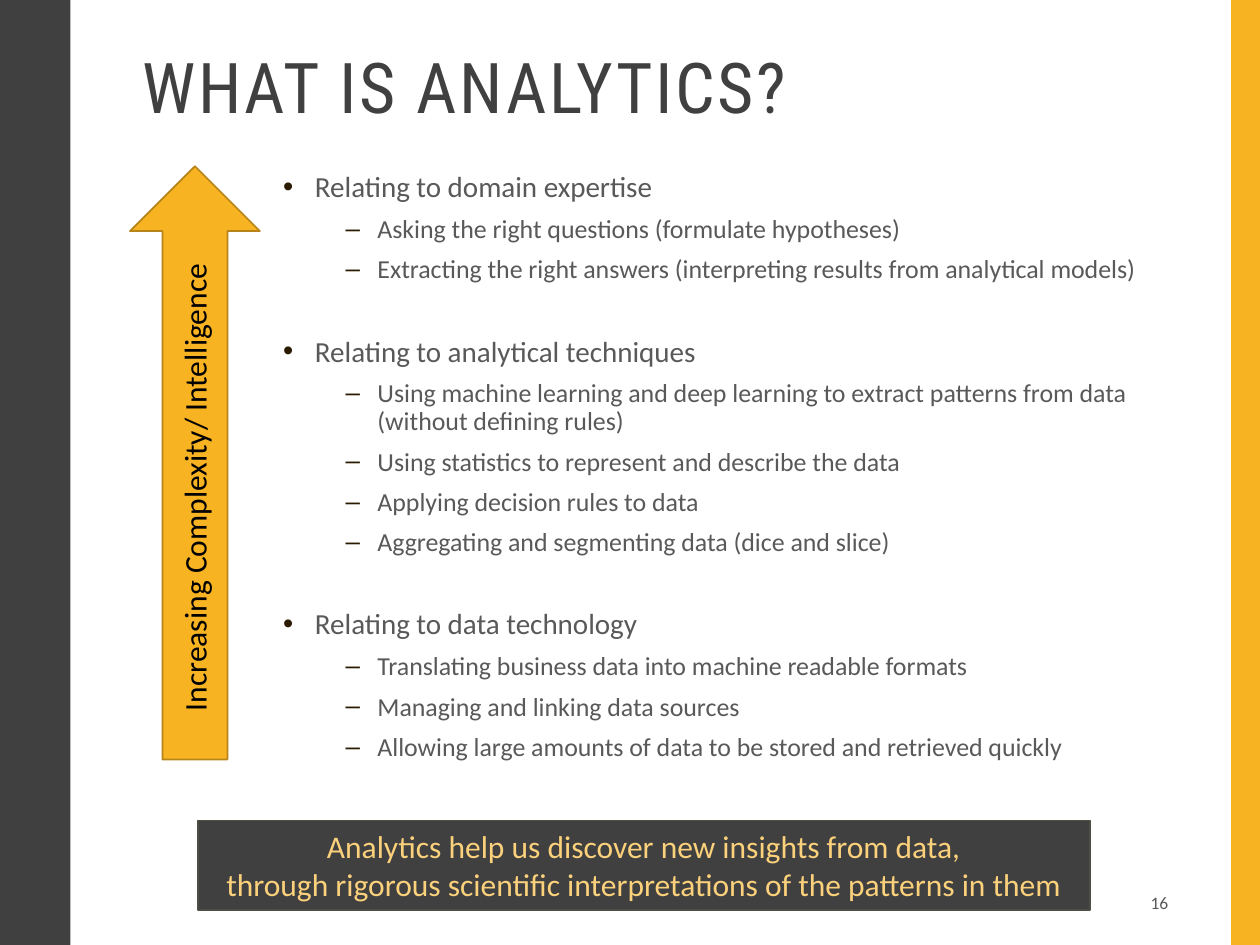
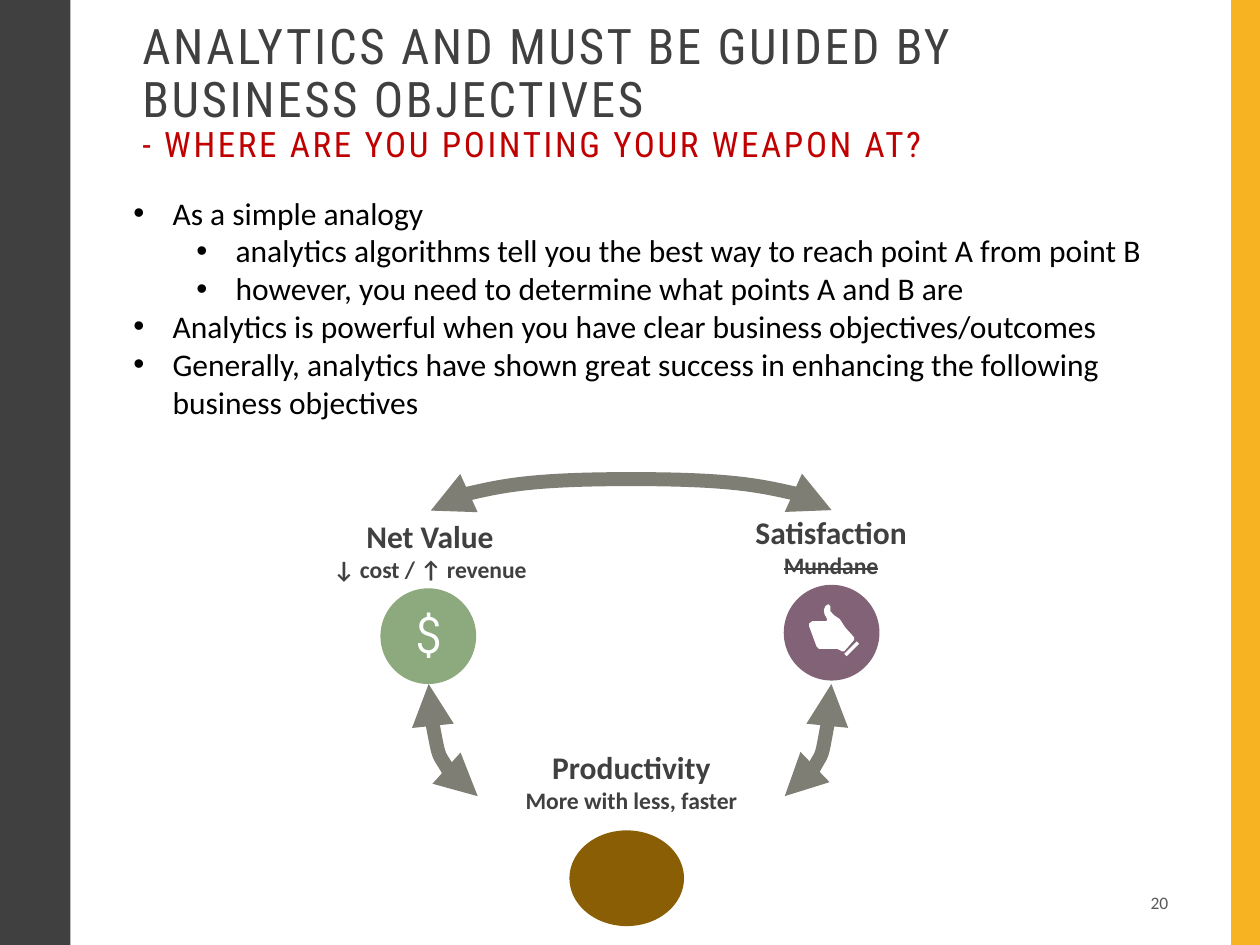
import dataclasses
from typing import NamedTuple, Optional

import lxml.etree
import pptx
import pptx.dml.color
import pptx.enum.shapes
import pptx.enum.text
import pptx.oxml.ns
import pptx.util

Cm = pptx.util.Cm
Pt = pptx.util.Pt
RGBColor = pptx.dml.color.RGBColor
Shapes = pptx.enum.shapes.MSO_SHAPE
Align = pptx.enum.text.PP_ALIGN
Anchor = pptx.enum.text.MSO_ANCHOR
qn = pptx.oxml.ns.qn

CHARCOAL = RGBColor(0x40, 0x40, 0x40)
AMBER = RGBColor(0xF8, 0xB3, 0x23)
AMBER_EDGE = RGBColor(0xB7, 0x84, 0x1A)
PALE_AMBER = RGBColor(0xFB, 0xD1, 0x7B)
BANNER_EDGE = RGBColor(0x4B, 0x4E, 0x42)
BODY_GRAY = RGBColor(0x59, 0x59, 0x59)
BULLET_BROWN = RGBColor(0x2A, 0x1A, 0x00)
RED = RGBColor(0xC0, 0x00, 0x00)
BLACK = RGBColor(0, 0, 0)
WHITE = RGBColor(0xFF, 0xFF, 0xFF)
GREEN = RGBColor(0x8C, 0xAA, 0x7E)
PURPLE = RGBColor(0x82, 0x62, 0x76)
BROWN = RGBColor(0x89, 0x5E, 0x04)
ARROW_GRAY = RGBColor(0x7E, 0x7E, 0x74)
BODY_FONT, TITLE_FONT, SIGN_FONT = "Calibri", "Roboto Condensed", "TeX Gyre Adventor"


class Frame(NamedTuple):
    """Left, top, width and height in centimetres."""
    left: float
    top: float
    width: float
    height: float

    def lengths(self) -> list:
        """Return the four sides as lengths."""
        return [Cm(side) for side in self]


class Bullet(NamedTuple):
    """A bullet sign with its text margin, hanging indent and colour."""
    sign: str
    margin: float
    hang: float
    color: RGBColor


@dataclasses.dataclass
class Line:
    """One paragraph and its look."""
    text: str
    size: float
    color: RGBColor = BLACK
    font: str = BODY_FONT
    bold: bool = False
    strike: bool = False
    align: Align = Align.LEFT
    bullet: Optional[Bullet] = None
    spacing: Optional[float] = None
    before: float = 0


class TitlePart(NamedTuple):
    """A title part that starts on its own line."""
    text: str
    size: float
    color: RGBColor


class Goal(NamedTuple):
    """A business objective with its circle and caption."""
    name: str
    detail: str
    struck: bool
    fill: RGBColor
    circle: Frame
    caption: Frame


class Curve(NamedTuple):
    """A curved double arrow, given before its rotation."""
    begin: tuple
    end: tuple
    rotation: int
    preset: str
    bend: Optional[int] = None


TITLE_FRAMES = {16: Frame(2.62, 0.33, 21.21, 3.02), 20: Frame(2.62, 0.38, 21.21, 3.02)}
TOPIC = Bullet("•", 0.64, 0.64, BULLET_BROWN)
DETAIL = Bullet("–", 1.9, 0.64, BULLET_BROWN)
POINT = Bullet("•", 0.79, 0.79, BLACK)
SUBPOINT = Bullet("•", 2.06, 0.79, BLACK)

TOPICS = {
    "Relating to domain expertise": [
        "Asking the right questions (formulate hypotheses)",
        "Extracting the right answers (interpreting results from analytical models)",
    ],
    "Relating to analytical techniques": [
        "Using machine learning and deep learning to extract patterns from data "
        "(without defining rules)",
        "Using statistics to represent and describe the data",
        "Applying decision rules to data",
        "Aggregating and segmenting data (dice and slice)",
    ],
    "Relating to data technology": [
        "Translating business data into machine readable formats",
        "Managing and linking data sources",
        "Allowing large amounts of data to be stored and retrieved quickly",
    ],
}
POINTS = [
    (POINT, "As a simple analogy"),
    (SUBPOINT, "analytics algorithms tell you the best way to reach point A from point B"),
    (SUBPOINT, "however, you need to determine what points A and B are"),
    (POINT, "Analytics is powerful when you have clear business objectives/outcomes"),
    (POINT, "Generally, analytics have shown great success in enhancing the following "
            "business objectives"),
]
GOALS = [
    Goal("Net Value", "↓ cost / ↑ revenue", False, GREEN,
         Frame(7.67, 11.86, 1.93, 1.93), Frame(5.66, 10.29, 6.02, 1.6)),
    Goal("Satisfaction", "Mundane", True, PURPLE,
         Frame(15.8, 11.79, 1.93, 1.93), Frame(13.49, 10.21, 6.53, 1.6)),
    Goal("Productivity", "More with less, faster", False, BROWN,
         Frame(11.48, 16.74, 2.31, 1.93), Frame(9.63, 14.96, 6.2, 2.18)),
]
CURVES = [
    Curve((12.73, 14.33), (12.72, 6.25), 90, "curvedConnector3", 6350000),
    Curve((15.16, 14.45), (17.42, 15.39), 90, "curvedConnector2"),
    Curve((8.64, 13.79), (9.63, 16.05), 180, "curvedConnector2"),
]
THUMB = [
    (17.22, 12.85), (17.04, 12.65), (17.02, 12.62), (16.93, 12.48), (16.81, 12.4),
    (16.74, 12.32), (16.74, 12.22), (16.7, 12.18), (16.64, 12.22), (16.61, 12.29),
    (16.62, 12.38), (16.66, 12.45), (16.68, 12.49), (16.66, 12.52), (16.38, 12.52),
    (16.31, 12.57), (16.31, 12.62), (16.46, 13.03), (16.51, 13.08), (16.87, 13.08),
    (16.94, 13.11), (16.97, 13.13), (17.02, 13.13), (17.22, 12.9),
]
CUFF = [(17.07, 13.23), (17.02, 13.18), (17.27, 12.93), (17.32, 12.98)]


def paint(shape, fill: RGBColor, edge: Optional[RGBColor] = None) -> None:
    """Give a shape a flat fill and an optional thin edge."""
    shape.shadow.inherit = False
    shape.fill.solid()
    shape.fill.fore_color.rgb = fill
    if edge is None:
        shape.line.fill.background()
    else:
        shape.line.color.rgb = edge
        shape.line.width = Pt(1)


def add_figure(page, kind: Shapes, frame: Frame, fill: RGBColor,
               edge: Optional[RGBColor] = None):
    """Add a painted preset shape."""
    shape = page.shapes.add_shape(kind, *frame.lengths())
    paint(shape, fill, edge)
    return shape


def add_outline(page, points: list, fill: RGBColor) -> None:
    """Add a closed polygon."""
    corners = [(Cm(x), Cm(y)) for x, y in points]
    builder = page.shapes.build_freeform(*corners[0])
    builder.add_line_segments(corners[1:], close=True)
    paint(builder.convert_to_shape(), fill)


def set_bullet(para, bullet: Bullet) -> None:
    """Put a bullet with a hanging indent on a paragraph."""
    props = para._p.get_or_add_pPr()
    props.set("marL", str(Cm(bullet.margin)))
    props.set("indent", str(-Cm(bullet.hang)))
    color = lxml.etree.SubElement(props, qn("a:buClr"))
    lxml.etree.SubElement(color, qn("a:srgbClr"), val=str(bullet.color))
    lxml.etree.SubElement(props, qn("a:buFont"), typeface="Arial")
    lxml.etree.SubElement(props, qn("a:buChar"), char=bullet.sign)


def write(text_frame, lines: list) -> None:
    """Fill a text frame with paragraphs."""
    for index, line in enumerate(lines):
        para = text_frame.paragraphs[0] if index == 0 else text_frame.add_paragraph()
        if line.bullet:
            set_bullet(para, line.bullet)
        para.alignment = line.align
        if line.spacing:
            para.line_spacing = line.spacing
        if index and line.before:
            para.space_before = Pt(line.before)
        span = para.add_run()
        span.text = line.text
        if line.strike:
            span._r.get_or_add_rPr().set("strike", "sngStrike")
        para.font.size = Pt(line.size)
        para.font.name = line.font
        para.font.bold = line.bold
        para.font.color.rgb = line.color


def add_text(page, frame: Frame, lines: list, anchor: Anchor = Anchor.TOP,
             wrap: bool = True):
    """Add a text box with the given paragraphs."""
    box = page.shapes.add_textbox(*frame.lengths())
    box.text_frame.word_wrap = wrap
    box.text_frame.vertical_anchor = anchor
    write(box.text_frame, lines)
    return box


def add_title(page, frame: Frame, parts: list) -> None:
    """Add the widely spaced slide title."""
    box = page.shapes.add_textbox(*frame.lengths())
    box.text_frame.word_wrap = True
    box.text_frame.vertical_anchor = Anchor.MIDDLE
    para = box.text_frame.paragraphs[0]
    para.line_spacing = 0.9
    for index, part in enumerate(parts):
        if index:
            para.add_line_break()
        span = para.add_run()
        span.text = part.text
        span.font.size = Pt(part.size)
        span.font.name = TITLE_FONT
        span.font.color.rgb = part.color
        span._r.get_or_add_rPr().set("spc", "150")


def add_curve(page, curve: Curve) -> None:
    """Add a curved arrow with a head at each end."""
    ends = [Cm(value) for value in curve.begin + curve.end]
    connector = page.shapes.add_connector(pptx.enum.shapes.MSO_CONNECTOR.CURVE, *ends)
    connector.line.color.rgb = ARROW_GRAY
    connector.line.width = Pt(8)
    props = connector._element.spPr
    props.find(qn("a:xfrm")).set("rot", str(curve.rotation * 60000))
    geometry = props.find(qn("a:prstGeom"))
    geometry.set("prst", curve.preset)
    if curve.bend:
        lxml.etree.SubElement(geometry.find(qn("a:avLst")), qn("a:gd"),
                              name="adj1", fmla=f"val {curve.bend}")
    for end in ("a:headEnd", "a:tailEnd"):
        lxml.etree.SubElement(props.find(qn("a:ln")), qn(end), type="triangle")
    lxml.etree.SubElement(props, qn("a:effectLst"))


def add_page(deck, number: int, title: list):
    """Add a slide with side bands, title and page number."""
    page = deck.slides.add_slide(deck.slide_layouts[6])
    add_figure(page, Shapes.RECTANGLE, Frame(24.82, 0, 0.58, 19.05), AMBER)
    add_figure(page, Shapes.RECTANGLE, Frame(0, 0, 1.42, 19.05), CHARCOAL)
    add_title(page, TITLE_FRAMES[number], title)
    add_text(page, Frame(17.93, 17.7, 5.87, 0.97),
             [Line(str(number), 10, BODY_GRAY, align=Align.RIGHT)], Anchor.MIDDLE)
    return page


def build_definition(deck) -> None:
    """Build the slide on what analytics is."""
    page = add_page(deck, 16, [TitlePart("WHAT IS ANALYTICS?", 40, CHARCOAL)])
    lines = []
    for topic, details in TOPICS.items():
        lines.append(Line(topic, 16.6, BODY_GRAY, bullet=TOPIC, spacing=0.9, before=30.2))
        lines += [Line(detail, 14.8, BODY_GRAY, bullet=DETAIL, spacing=0.9, before=7)
                  for detail in details]
    add_text(page, Frame(5.46, 3.35, 18.34, 12.85), lines)
    banner = add_figure(page, Shapes.RECTANGLE, Frame(3.99, 16.54, 17.98, 1.8),
                        CHARCOAL, BANNER_EDGE)
    write(banner.text_frame, [
        Line(text, 18, PALE_AMBER, align=Align.CENTER) for text in (
            "Analytics help us discover new insights from data,",
            "through rigorous scientific interpretations of the patterns in them")])
    add_figure(page, Shapes.UP_ARROW, Frame(2.62, 3.35, 2.62, 11.96), AMBER, AMBER_EDGE)
    label = add_text(page, Frame(-0.86, 9.3, 9.55, 1.02),
                     [Line("Increasing Complexity/ Intelligence", 18)], wrap=False)
    label.rotation = 270


def build_objectives(deck) -> None:
    """Build the slide on business objectives."""
    page = add_page(deck, 20, [
        TitlePart("ANALYTICS AND MUST BE GUIDED BY BUSINESS OBJECTIVES", 28, CHARCOAL),
        TitlePart("- WHERE ARE YOU POINTING YOUR WEAPON AT?", 20, RED)])
    for goal in GOALS:
        add_figure(page, Shapes.OVAL, goal.circle, goal.fill)
        add_text(page, goal.caption, [
            Line(goal.name, 18, CHARCOAL, bold=True, align=Align.CENTER),
            Line(goal.detail, 13.5, CHARCOAL, bold=True, strike=goal.struck,
                 align=Align.CENTER)])
    add_text(page, Frame(8.1, 12.04, 1.14, 1.55),
             [Line("$", 30, WHITE, SIGN_FONT)], wrap=False)
    for points in (THUMB, CUFF):
        add_outline(page, points, WHITE)
    for curve in CURVES:
        add_curve(page, curve)
    add_text(page, Frame(2.44, 3.78, 21.36, 4.88),
             [Line(text, 18, bullet=bullet) for bullet, text in POINTS])


def main() -> None:
    """Build and save the deck."""
    deck = pptx.Presentation()
    deck.slide_width, deck.slide_height = Cm(25.4), Cm(19.05)
    build_definition(deck)
    build_objectives(deck)
    deck.save("out.pptx")


if __name__ == "__main__":
    main()
